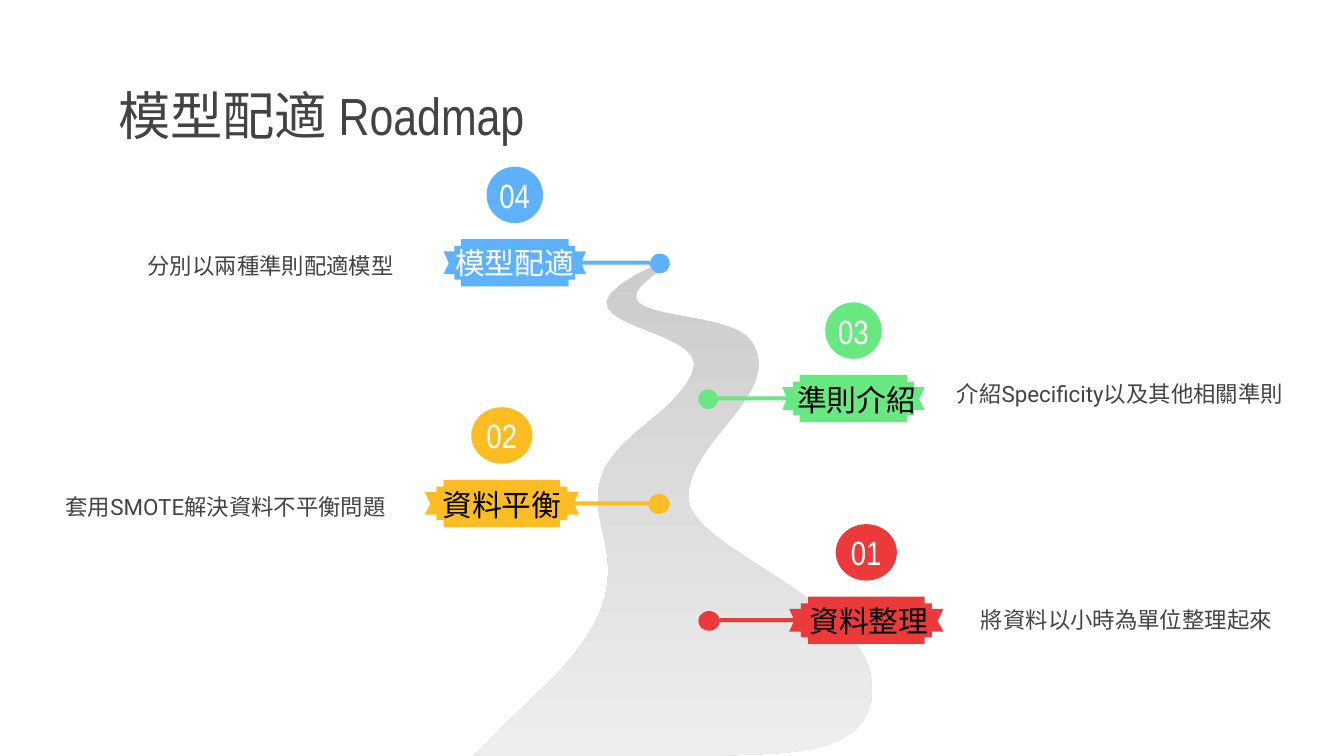
from math import cos, radians, sin

from pptx import Presentation
from pptx.dml.color import RGBColor
from pptx.enum.shapes import MSO_SHAPE
from pptx.enum.text import MSO_ANCHOR, MSO_AUTO_SIZE, PP_ALIGN
from pptx.util import Emu, Pt

SCALE = 9144
HUES = {
    "white": "FFFFFF", "black": "000000", "grey": "434343",
    "top": "CCCCCC", "foot": "EEEEEE",
    "blue": "5EB2FC", "green": "69E781", "gold": "FCBD24", "red": "EC3A3B",
}
NARROW, ROBOTO = "Arial Narrow", "Roboto"

START = (138, 0)
BENDS = [
    ((31, 49), (182, 44), (163, 82)),
    ((147, 117), (94, 131), (93, 173)),
    ((91, 208), (129, 243), (52, 316)),
    ((13, 353), (0, 367), (0, 367)),
    ((59, 367), (118, 367), (177, 367)),
    ((219, 363), (297, 372), (297, 316)),
    ((297, 251), (161, 213), (160, 175)),
    ((159, 132), (231, 98), (208, 59)),
    ((191, 30), (71, 47), (145, 2)),
    ((142, 2), (139, 0), (138, 0)),
]

SPAN = 168
HEAD = [(13, 0), (13, 5), (8, 5), (8, 9), (0, 9), (4, 18), (0, 26), (8, 26),
        (8, 30), (13, 30), (13, 35), (93, 35), (93, 30), (98, 30), (98, 26),
        (106, 26), (103, 19), (153, 19)]
DOT = [(161 + 7.3 * cos(radians(a)), 18 + 7.3 * sin(radians(a)))
       for a in range(170, -171, -10)]
TAIL = [(153, 16), (103, 16), (106, 9), (98, 9), (98, 5), (93, 5), (93, 0)]

STOPS = [
    {"box": (330, 178, 168), "flip": False, "hue": "blue", "num": "04",
     "name": "模型配適", "ink": "white", "label": (335, 180, 96, 31),
     "text": "分別以兩種準則配適模型", "note": (36, 178, 267, 84)},
    {"box": (316, 357, 182), "flip": False, "hue": "gold", "num": "02",
     "name": "資料平衡", "ink": "black", "label": (324, 360, 99, 31),
     "text": "套用SMOTE解決資料不平衡問題", "note": (32, 357, 265, 84)},
    {"box": (520, 279, 168), "flip": True, "hue": "green", "num": "03",
     "name": "準則介紹", "ink": "black", "label": (591, 282, 93, 31),
     "text": "介紹Specificity以及其他相關準則", "note": (702, 273, 269, 84)},
    {"box": (520, 444, 182), "flip": True, "hue": "red", "num": "01",
     "name": "資料整理", "ink": "black", "label": (588, 446, 117, 31),
     "text": "將資料以小時為單位整理起來", "note": (720, 441, 252, 84)},
]


def px(n):
    """Turn px into EMU."""
    return Emu(round(n * SCALE))


def rgb(key):
    """Look up a colour."""
    return RGBColor.from_string(HUES[key])


def write(shape, text, font, size, ink, align, anchor, pad):
    """Fill a shape's text frame with one formatted run."""
    frame = shape.text_frame
    frame.word_wrap = True
    frame.auto_size = MSO_AUTO_SIZE.NONE
    frame.vertical_anchor = anchor
    frame.margin_left = frame.margin_right = px(pad)
    frame.margin_top = frame.margin_bottom = px(pad)
    para = frame.paragraphs[0]
    para.alignment = align
    run = para.add_run()
    run.text = text
    run.font.name, run.font.size = font, Pt(size)
    run.font.color.rgb = rgb(ink)


def paint(shape, hue):
    """Give a shape a flat fill without line or shadow."""
    shape.shadow.inherit = False
    shape.line.fill.background()
    shape.fill.solid()
    shape.fill.fore_color.rgb = rgb(hue)


def trace(shapes, left, top, points):
    """Draw a closed outline whose points are relative to a corner."""
    spots = [(px(left + x), px(top + y)) for x, y in points]
    pen = shapes.build_freeform(*spots[0])
    pen.add_line_segments(spots[1:], close=True)
    return pen.convert_to_shape()


def curve(start, bends, steps=16):
    """Sample a chain of cubic curves."""
    points = [start]
    for b, c, d in bends:
        a = points[-1]
        for i in range(1, steps + 1):
            t = i / steps
            u = 1 - t
            points.append(tuple(
                u**3 * a[k] + 3 * u * u * t * b[k] + 3 * u * t * t * c[k] + t**3 * d[k]
                for k in (0, 1)))
    return points


def title(slide, left, top, wide, high):
    """Place the slide title."""
    head = slide.shapes.title
    head.left, head.top, head.width, head.height = map(px, (left, top, wide, high))
    write(head, "模型配適 Roadmap", NARROW, 28, "grey",
          PP_ALIGN.LEFT, MSO_ANCHOR.MIDDLE, 10)


def road(slide, left, top):
    """Draw the winding road."""
    lane = trace(slide.shapes, left, top, curve(START, BENDS))
    paint(lane, "top")
    lane.fill.gradient()
    lane.fill.gradient_angle = 270
    for stop, hue in zip(lane.fill.gradient_stops, ("top", "foot")):
        stop.color.rgb = rgb(hue)


def milestone(slide, box, flip, hue, num, name, ink, label, text, note):
    """Draw a ribbon with its stem, badge, label and note."""
    left, top, wide = box
    ratio = wide / SPAN
    parts = slide.shapes.add_group_shape().shapes

    def turn(x):
        """Stretch x to the ribbon and mirror it if flipped."""
        return wide - x * ratio if flip else x * ratio

    ribbon = trace(parts, left, top, [(turn(x), y) for x, y in HEAD + DOT + TAIL])
    paint(ribbon, hue)
    edge = left + min(turn(32), turn(74))
    badge = parts.add_shape(MSO_SHAPE.OVAL, px(edge), px(top - 54),
                            px(42 * ratio), px(42))
    paint(badge, hue)
    write(badge, num, NARROW, 18, "white", PP_ALIGN.CENTER, MSO_ANCHOR.MIDDLE, 0)
    write(parts.add_textbox(*map(px, label)), name, NARROW, 16, ink,
          PP_ALIGN.CENTER, MSO_ANCHOR.MIDDLE, 0)
    side = PP_ALIGN.LEFT if flip else PP_ALIGN.RIGHT
    write(parts.add_textbox(*map(px, note)), text, ROBOTO, 12, "grey",
          side, MSO_ANCHOR.TOP, 10)


def main():
    """Build and save the slide."""
    deck = Presentation()
    deck.slide_width = px(1000)
    deck.slide_height = px(1000) * 9 // 16
    slide = deck.slides.add_slide(deck.slide_layouts[5])
    title(slide, 78, 59, 845, 53)
    road(slide, 352, 196)
    for stop in STOPS:
        milestone(slide, **stop)
    deck.save("out.pptx")


if __name__ == "__main__":
    main()
